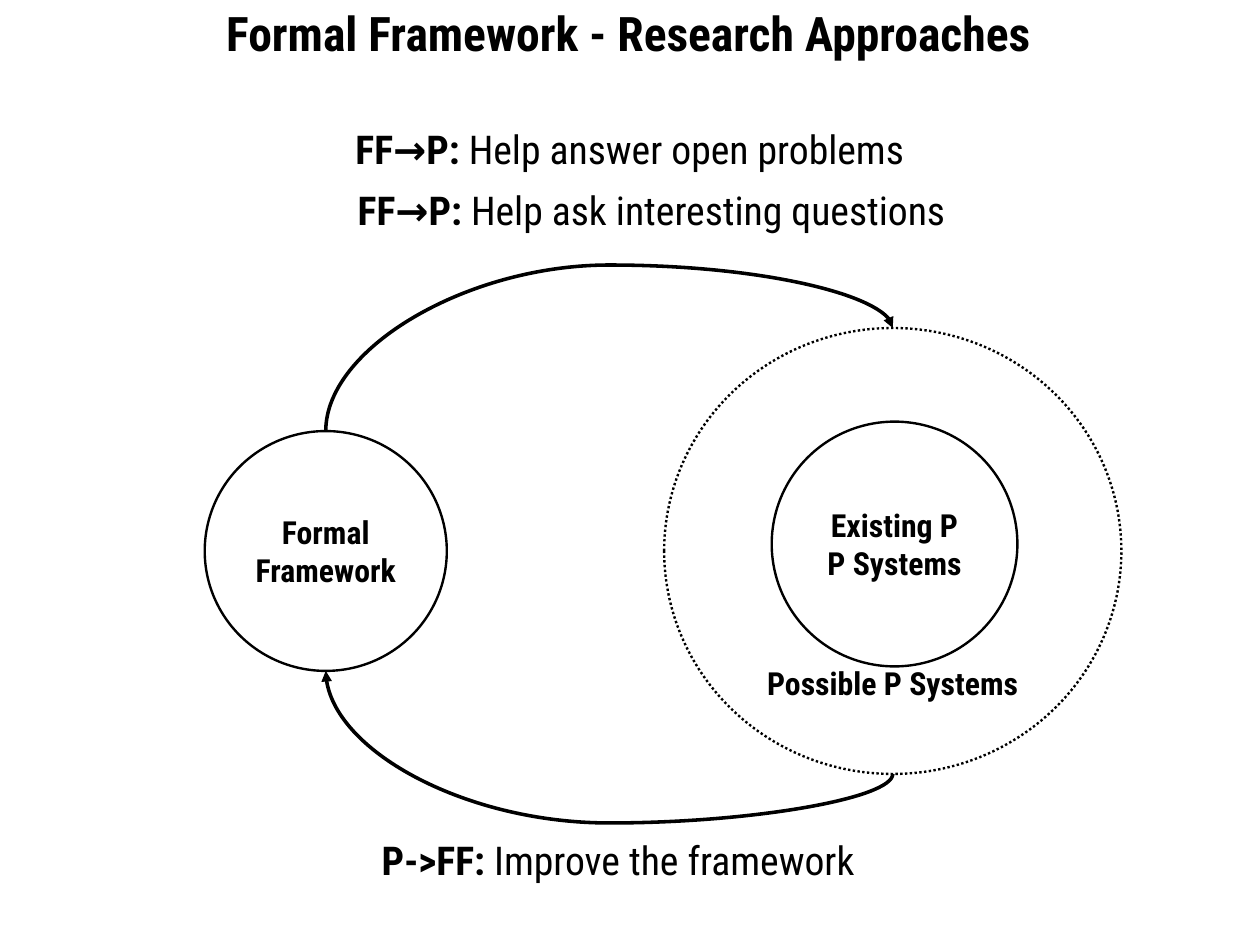
from lxml import etree
from pptx import Presentation
from pptx import util as u
from pptx.dml.color import RGBColor
from pptx.enum import dml, shapes, text
from pptx.oxml import ns

COLORS = {"ink": "000000", "paper": "FFFFFF"}
FONT = "Roboto Condensed"
INK = RGBColor.from_string(COLORS["ink"])


def cm_box(box):
    return [u.Cm(length) for length in box]


def style_paragraph(paragraph, size, bold, align):
    paragraph.alignment = align
    font = paragraph.font
    font.name, font.size, font.bold = FONT, u.Pt(size), bold
    font.color.rgb = INK


def add_title(slide, box, wording):
    title = slide.shapes.title
    title.left, title.top, title.width, title.height = cm_box(box)
    frame = title.text_frame
    frame.margin_left = frame.margin_right = 0
    frame.margin_top = frame.margin_bottom = 0
    frame.vertical_anchor = text.MSO_ANCHOR.MIDDLE
    frame.auto_size = text.MSO_AUTO_SIZE.NONE
    frame.text = wording
    style_paragraph(frame.paragraphs[0], 30, True, text.PP_ALIGN.CENTER)


def add_approach(slide, box, direction, goal):
    frame = slide.shapes.add_textbox(*cm_box(box)).text_frame
    frame.word_wrap = True
    approach = frame.paragraphs[0]
    style_paragraph(approach, 25, False, text.PP_ALIGN.LEFT)
    for wording, bold in ((direction, True), (f" {goal}", False)):
        run = approach.add_run()
        run.text = wording
        run.font.bold = bold


def add_circle(slide, box, lines, anchor=text.MSO_ANCHOR.MIDDLE, dash=None):
    circle = slide.shapes.add_shape(shapes.MSO_SHAPE.OVAL, *cm_box(box))
    circle.shadow.inherit = False
    circle.fill.background()
    circle.line.color.rgb = INK
    circle.line.width = u.Pt(1.5)
    if dash:
        circle.line.dash_style = dash
    frame = circle.text_frame
    frame.word_wrap = False
    frame.vertical_anchor = anchor
    frame.margin_left = frame.margin_right = u.Cm(0.28)
    frame.margin_top = frame.margin_bottom = u.Cm(0.15)
    frame.text = "\n".join(lines)
    for paragraph in frame.paragraphs:
        style_paragraph(paragraph, 20, True, text.PP_ALIGN.CENTER)


def add_arc(slide, start, end, apex, rotation, flips):
    (x1, y1), (x2, y2) = start, end
    width, height = abs(y2 - y1), abs(x2 - x1)
    left = (x1 + x2 - width) / 2
    top = (y1 + y2 - height) / 2
    arc = slide.shapes.add_connector(
        shapes.MSO_CONNECTOR.CURVE,
        *cm_box((left, top, left + width, top + height)))
    arc.line.color.rgb = INK
    arc.line.width = u.Pt(2.25)
    properties = arc._element.spPr
    frame = properties.find(ns.qn("a:xfrm"))
    frame.set("rot", str(rotation * 60000))
    for flip in flips:
        frame.set(flip, "1")
    guides = properties.find(ns.qn("a:prstGeom")).get_or_add_avLst()
    bend = round((apex - y1) / (y2 - y1) * 100000)
    etree.SubElement(guides, ns.qn("a:gd"), name="adj1", fmla=f"val {bend}")
    line = properties.find(ns.qn("a:ln"))
    etree.SubElement(line, ns.qn("a:tailEnd"), type="triangle")
    etree.SubElement(properties, ns.qn("a:effectLst"))


def add_cycle(slide, box):
    left, top, width, height = box
    framework = (left, top + 2.29, 5.38, 5.33)
    existing = (left + 12.6, top + 2.08, 5.46, 5.44)
    possible = (left + width - 10.16, top, 10.16, height)
    add_circle(slide, framework, ["Formal", "Framework"])
    add_circle(slide, existing, ["Existing P", "P Systems"])
    add_circle(slide, possible, ["Possible P Systems"],
               text.MSO_ANCHOR.BOTTOM, dml.MSO_LINE.ROUND_DOT)

    framework_x = framework[0] + framework[2] / 2
    possible_x = possible[0] + possible[2] / 2
    add_arc(slide, (possible_x, top + height),
            (framework_x, framework[1] + framework[3]),
            top + height + 1.09, 270, ["flipV"])
    add_arc(slide, (framework_x, framework[1]), (possible_x, top),
            top - 1.4, 90, ["flipH", "flipV"])


def main():
    deck = Presentation()
    deck.slide_width, deck.slide_height = u.Cm(28), u.Cm(21)
    slide = deck.slides.add_slide(deck.slide_layouts[5])
    slide.background.fill.solid()
    slide.background.fill.fore_color.rgb = RGBColor.from_string(COLORS["paper"])

    add_title(slide, (0, 0.03, 27.94, 1.4),
              "Formal Framework - Research Approaches")
    add_cycle(slide, (4.55, 7.29, 20.37, 9.91))
    add_approach(slide, (7.65, 2.64, 12.83, 1.42),
                 "FF→P:", "Help answer open problems")
    add_approach(slide, (7.7, 4.01, 13.72, 1.42),
                 "FF→P:", "Help ask interesting questions")
    add_approach(slide, (8.23, 18.44, 11.53, 1.42),
                 "P->FF:", "Improve the framework")
    deck.save("out.pptx")


if __name__ == "__main__":
    main()
